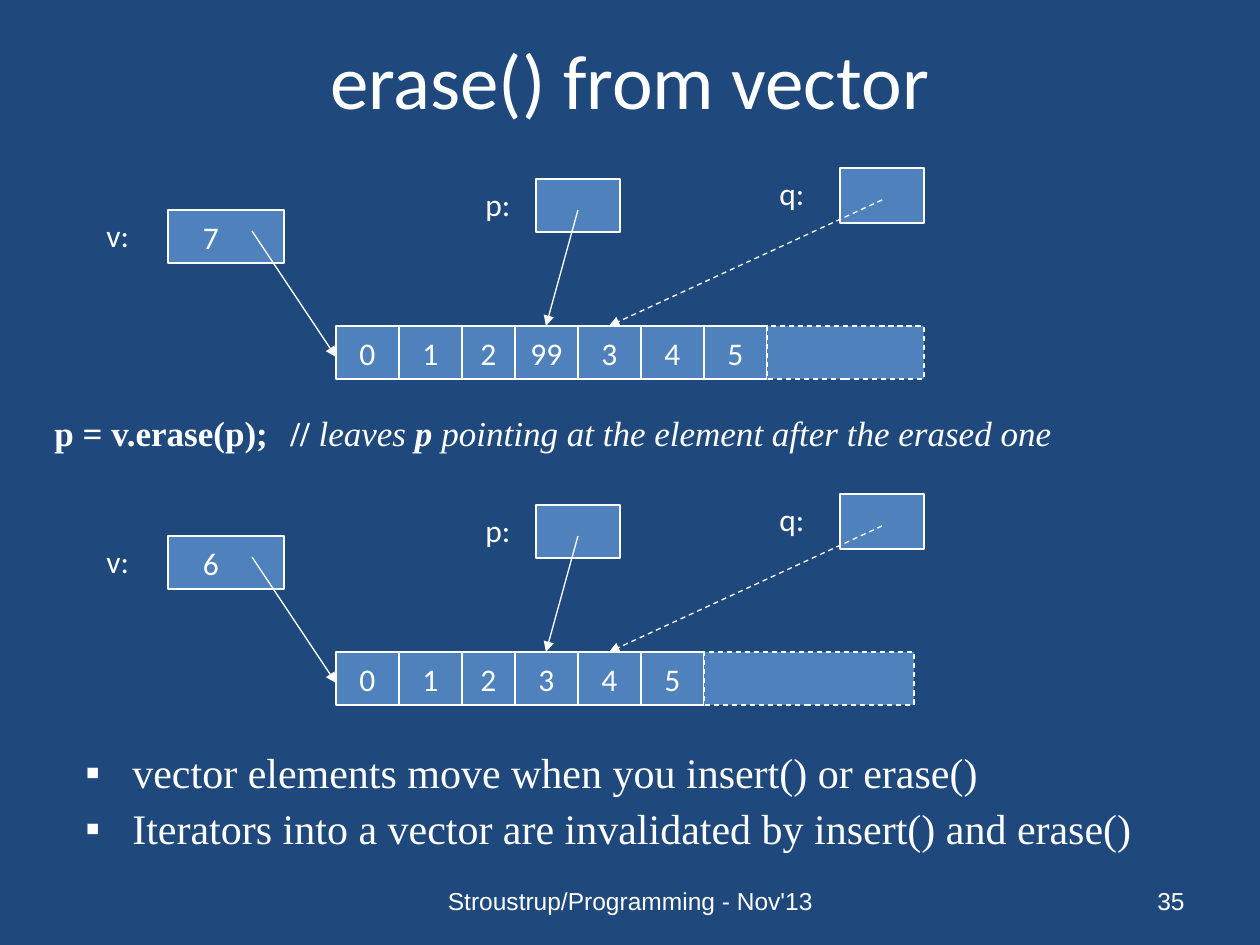
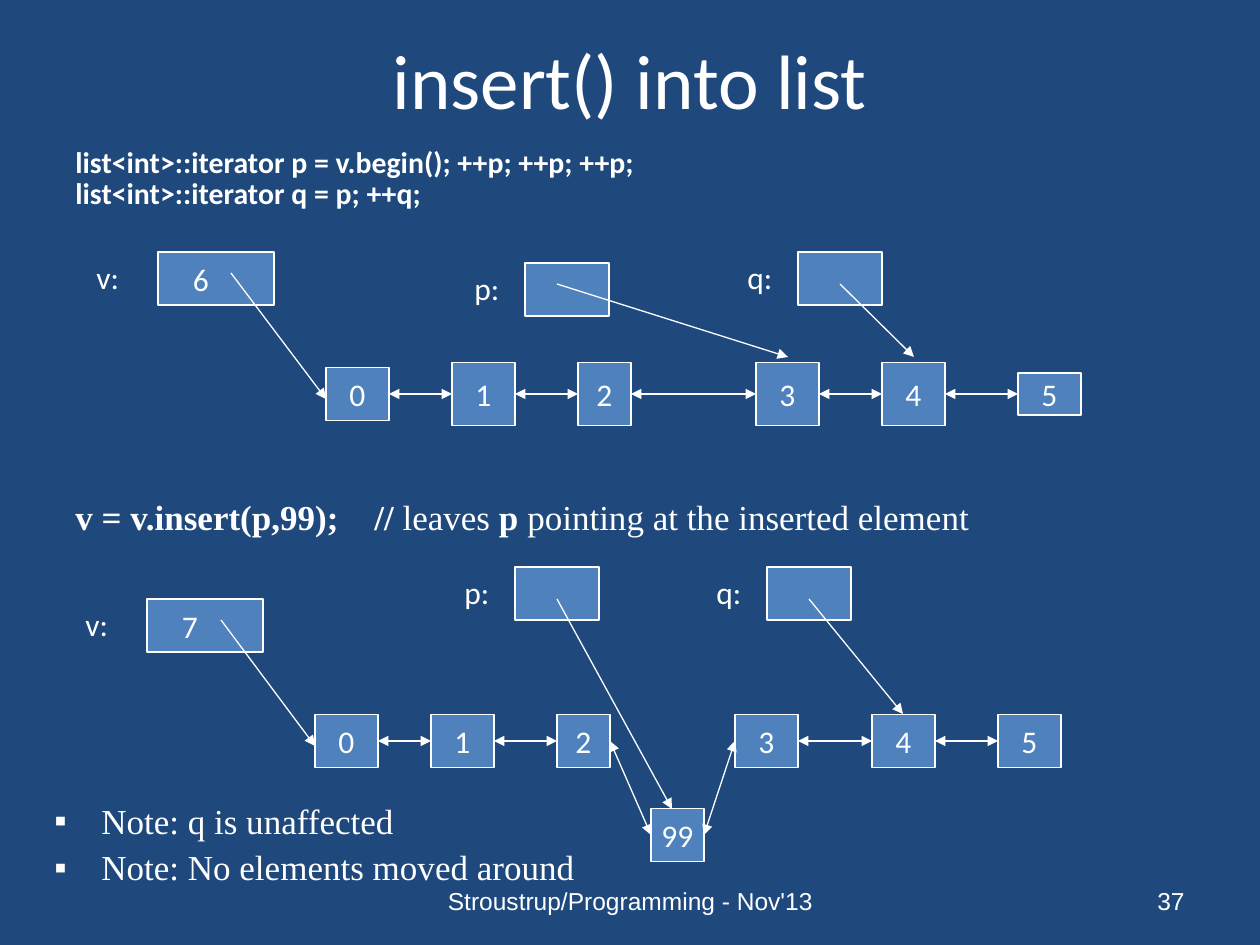
from itertools import pairwise

from lxml import etree
from pptx import Presentation, util as u
from pptx.dml.color import RGBColor
from pptx.enum import dml, shapes, text
from pptx.oxml import ns

WHITE = RGBColor(0xFF, 0xFF, 0xFF)
NAVY = RGBColor(0x1F, 0x49, 0x7D)
BLUE = RGBColor(0x4F, 0x81, 0xBD)

SANS, SERIF, PLAIN = "Calibri", "Times New Roman", "Arial"
SCALE = 914400 / 126  # EMU per pixel
HANG = 47  # hanging indent of code and bullets
BOX_H = 53
CELL_W, NARROW_W = 63, 53
LABEL_H = 50
LEFT, CENTER, RIGHT = text.PP_ALIGN.LEFT, text.PP_ALIGN.CENTER, text.PP_ALIGN.RIGHT


def px(*values):
    """Turn pixels into EMU."""
    return [u.Emu(round(v * SCALE)) for v in values]


def sub(parent, tag, **attrs):
    """Append a drawing element to parent."""
    return etree.SubElement(parent, ns.qn(tag), attrs)


def write(tf, paragraphs, size=18, font=SANS, bold=False, align=LEFT, hang=0,
          bullet=None, spacing=None, before=0, middle=False, wrap=True):
    """Fill a text frame; a paragraph is a string or (text, bold, italic) runs."""
    tf.word_wrap = wrap
    tf.auto_size = text.MSO_AUTO_SIZE.NONE
    tf.vertical_anchor = text.MSO_ANCHOR.MIDDLE if middle else text.MSO_ANCHOR.TOP
    for i, runs in enumerate(paragraphs):
        p = tf.add_paragraph() if i else tf.paragraphs[0]
        p.alignment = align
        p.space_before = u.Pt(before)
        if spacing:
            p.line_spacing = spacing
        if hang:
            indent = px(hang)[0]
            ppr = p._p.get_or_add_pPr()
            ppr.set("marL", str(indent))
            ppr.set("indent", str(-indent))
            if bullet:
                sub(ppr, "a:buFont", typeface=font)
                sub(ppr, "a:buChar", char=bullet)
        if isinstance(runs, str):
            runs = [(runs, bold, False)]
        for words, strong, slanted in runs:
            r = p.add_run()
            r.text = words
            r.font.size, r.font.name = u.Pt(size), font
            r.font.bold, r.font.italic = strong, slanted
            r.font.color.rgb = WHITE


def add_text(s, x, y, w, h, paragraphs, **style):
    """Add a text box."""
    sp = s.shapes.add_textbox(*px(x, y, w, h))
    write(sp.text_frame, paragraphs, **style)


def add_code(s, x, y, runs):
    """Add a line of code followed by its comment."""
    add_text(s, x, y, 1134, 73, [runs], size=20, font=SERIF, hang=HANG, spacing=0.9)


def add_bullets(s, x, y, h, lines, size):
    """Add a bulleted list."""
    add_text(s, x, y, 1134, h, lines, size=size, font=SERIF, hang=HANG,
             bullet="▪", spacing=0.9, before=size / 4)


def add_box(s, x, y, w, h=BOX_H, value="", dashed=False, shift=0):
    """Add a memory box; shift moves its value to the left."""
    sp = s.shapes.add_shape(shapes.MSO_SHAPE.RECTANGLE, *px(x, y, w, h))
    sp.shadow.inherit = False
    sp.fill.solid()
    sp.fill.fore_color.rgb = BLUE
    set_line(sp.line, dashed)
    if value:
        tf = sp.text_frame
        tf.margin_right += px(2 * shift)[0]
        write(tf, [value], align=CENTER, middle=True, wrap=False)


def set_line(line, dashed):
    """Give an outline or connector its white line."""
    line.color.rgb = WHITE
    line.width = u.Pt(0.75)
    if dashed:
        line.dash_style = dml.MSO_LINE.DASH


def add_arrow(s, start, end, dashed=False, both=False):
    """Add an arrow from start to end, with two heads if both."""
    c = s.shapes.add_connector(shapes.MSO_CONNECTOR.STRAIGHT, *px(*start, *end))
    set_line(c.line, dashed)
    ln = c.line._get_or_add_ln()
    if both:
        sub(ln, "a:headEnd", type="triangle")
    sub(ln, "a:tailEnd", type="triangle")
    sub(c._element.spPr, "a:effectLst")


def add_pointer(s, name, x, y, start, end, gap=63, h=BOX_H, dashed=False):
    """Add a labelled iterator box and the arrow to its element."""
    add_text(s, x - gap, y, 63, LABEL_H, [name])
    add_box(s, x, y, 84, h)
    add_arrow(s, start, end, dashed)


def add_container(s, size, x, y, start, end):
    """Add the container v: its size and the arrow to its first element."""
    add_text(s, x - 74, y, 73, LABEL_H, ["v:"])
    add_box(s, x, y, 116, value=size, shift=15)
    add_arrow(s, start, end)


def add_vector(s, top, size, values, spare_w):
    """Draw a vector, its spare room and the pointers into it."""
    x, y = 336, top + 158
    for i, value in enumerate(values):
        w = NARROW_W if i == 2 else CELL_W
        add_box(s, x, y, w, value=value)
        x += w
    add_box(s, x, y, spare_w, dashed=True)
    add_container(s, size, 168, top + 42, (252, top + 63), (336, top + 189))
    add_pointer(s, "p:", 536, top + 11, (578, top + 42), (546, y))
    add_pointer(s, "q:", 840, top, (882, top + 32), (609, y), gap=73, h=55, dashed=True)


def add_list(s, nodes):
    """Draw list nodes (value, x, middle y, w, h) and link the neighbours."""
    for value, x, mid, w, h in nodes:
        add_box(s, x, mid - h / 2, w, h, value)
    for (_, x, mid, w, _), (_, next_x, next_mid, _, _) in pairwise(nodes):
        add_arrow(s, (x + w, mid), (next_x, next_mid), both=True)


def add_slide(prs, title, number):
    """Add a slide with its title, footer and number."""
    s = prs.slides.add_slide(prs.slide_layouts[5])
    sp = s.shapes.title
    sp.left, sp.top, sp.width, sp.height = px(63, 0, 1134, 158)
    write(sp.text_frame, [title], size=44, align=CENTER, middle=True)
    footer = {"size": 14, "font": PLAIN, "middle": True}
    add_text(s, 431, 876, 399, 50, ["Stroustrup/Programming - Nov'13"], align=CENTER, **footer)
    add_text(s, 903, 876, 294, 50, [number], align=RIGHT, **footer)
    return s


def erase_slide(prs):
    """Build the slide on erasing from a vector."""
    s = add_slide(prs, "erase() from vector", "35")
    add_vector(s, 168, "7", ["0", "1", "2", "99", "3", "4", "5"], 157)
    add_code(s, 42, 410, [
        ("p = v.erase(p);\t// ", True, False), ("leaves", False, True),
        (" p ", True, True),
        ("pointing at the element after the erased one", False, True)])
    add_vector(s, 494, "6", ["0", "1", "2", "3", "4", "5"], 210)
    add_bullets(s, 73, 746, 53, [
        "vector elements move when you insert() or erase()",
        "Iterators into a vector are invalidated by insert() and erase()"], 24)


def insert_slide(prs):
    """Build the slide on inserting into a list."""
    s = add_slide(prs, "insert() into list", "37")
    add_text(s, 63, 147, 1134, 73, [
        "list<int>::iterator p = v.begin(); ++p; ++p; ++p;",
        "list<int>::iterator q = p; ++q;"],
        size=17, bold=True, hang=HANG, spacing=0.7, before=3.4)

    mid = 394
    add_list(s, [("0", 326, mid, CELL_W, BOX_H), ("1", 452, mid, CELL_W, 63),
                 ("2", 578, mid, NARROW_W, 63), ("3", 756, mid, CELL_W, 63),
                 ("4", 882, mid, CELL_W, 63), ("5", 1018, mid, CELL_W, 42)])
    add_container(s, "6", 158, 252, (231, 273), (326, 399))
    add_pointer(s, "p:", 525, 263, (557, 284), (788, 357))
    add_pointer(s, "q:", 798, 252, (840, 284), (914, 357))

    add_code(s, 63, 494, [
        ("v = v.insert(p,99);\t// ", True, False), ("leaves", False, False),
        (" p ", True, False), ("pointing at the inserted element", False, False)])

    mid = 741
    add_list(s, [(value, x, y, w, BOX_H) for value, x, y, w in [
        ("0", 315, mid, CELL_W), ("1", 431, mid, CELL_W),
        ("2", 557, mid, NARROW_W), ("99", 651, mid + 94, NARROW_W),
        ("3", 735, mid, CELL_W), ("4", 872, mid, CELL_W),
        ("5", 998, mid, CELL_W)]])
    add_container(s, "7", 147, 599, (221, 620), (315, 746))
    add_pointer(s, "p:", 515, 567, (557, 599), (672, 809))
    add_pointer(s, "q:", 767, 567, (809, 599), (903, 714))
    add_bullets(s, 42, 798, 73, ["Note: q is unaffected",
                                 "Note: No elements moved around"], 20)


def main():
    """Build and save the presentation."""
    prs = Presentation()
    prs.slide_width, prs.slide_height = px(1260, 945)
    fill = prs.slide_master.background.fill
    fill.solid()
    fill.fore_color.rgb = NAVY
    erase_slide(prs)
    insert_slide(prs)
    prs.save("out.pptx")


main()
